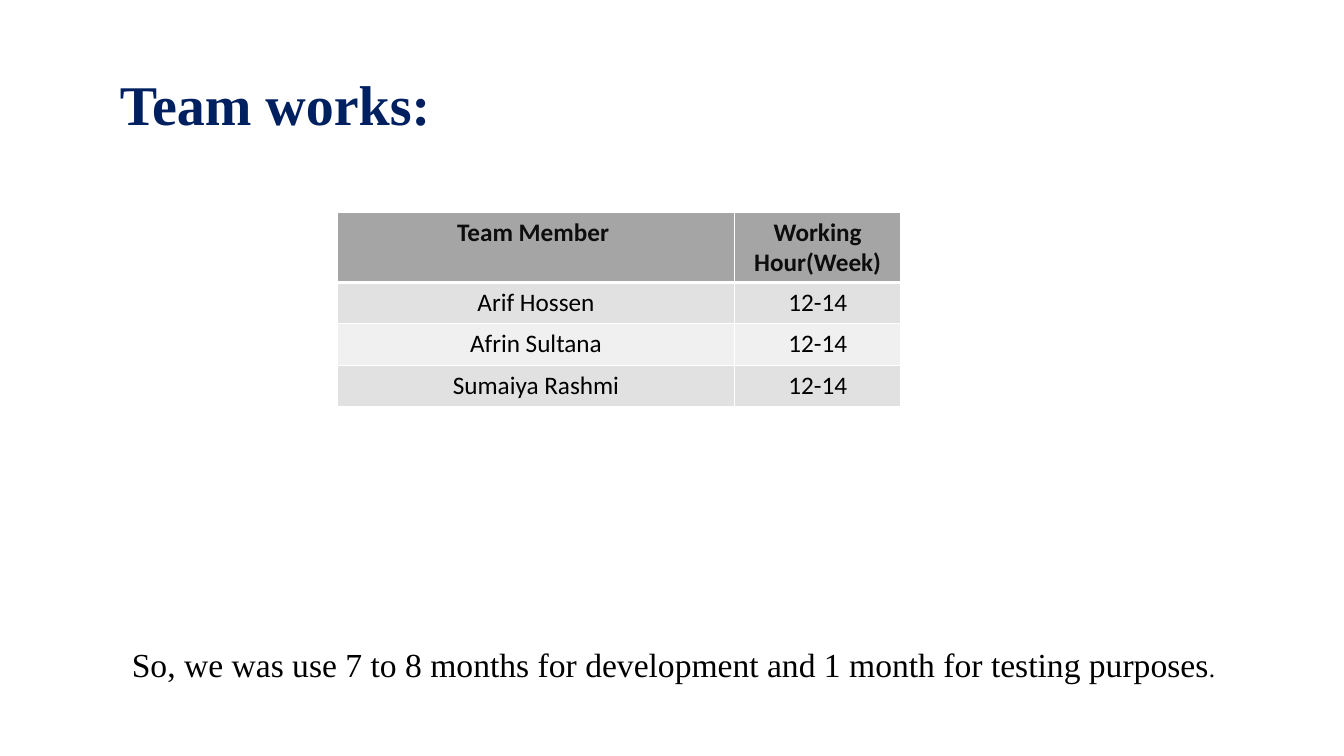
from dataclasses import dataclass

from lxml.etree import SubElement
from pptx import Presentation
from pptx.dml.color import RGBColor
from pptx.enum.text import MSO_ANCHOR, MSO_AUTO_SIZE, PP_ALIGN
from pptx.oxml.ns import qn
from pptx.table import _Cell as Cell
from pptx.text.text import TextFrame, _Paragraph as Paragraph
from pptx.util import Pt

SERIF = "Times New Roman"
SANS = "Calibri"
BLACK = "000000"
WHITE = "FFFFFF"
HEADER_FILL = "A5A5A5"
BAND_FILLS = ("E1E1E1", "F0F0F0")
COLUMN_WIDTHS = (283.7, 118.8)
HEADER_HEIGHT = 50.4
ROW_HEIGHT = 29.5


@dataclass(frozen=True)
class TextStyle:
    font: str
    size: float
    color: str = BLACK
    bold: bool = False


@dataclass(frozen=True)
class TeamRow:
    member: str
    hours: str


HEADER = TeamRow("Team Member ", "Working Hour(Week)")
TEAM = (
    TeamRow("Arif Hossen", "12-14"),
    TeamRow("Afrin Sultana", "12-14"),
    TeamRow("Sumaiya Rashmi", "12-14"),
)
HEADER_STYLE = TextStyle(SANS, 18, "0D0D0D", True)
BODY_STYLE = TextStyle(SANS, 18)
TITLE_STYLE = TextStyle(SERIF, 40, "002060", True)


def rgb(color: str) -> RGBColor:
    return RGBColor.from_string(color)


def add_run(paragraph: Paragraph, text: str, style: TextStyle) -> None:
    run = paragraph.add_run()
    run.text = text
    run.font.name = style.font
    run.font.size = Pt(style.size)
    run.font.bold = style.bold
    run.font.color.rgb = rgb(style.color)


def set_frame(frame: TextFrame, wrap: bool) -> None:
    frame.word_wrap = wrap
    frame.auto_size = MSO_AUTO_SIZE.SHAPE_TO_FIT_TEXT
    frame.vertical_anchor = MSO_ANCHOR.TOP


def set_borders(cell: Cell, top: float, bottom: float) -> None:
    """Draw white borders, 1 point wide at the sides; must precede the fill."""
    properties = cell._tc.get_or_add_tcPr()
    for side, width in (("L", 1), ("R", 1), ("T", top), ("B", bottom)):
        line = SubElement(properties, qn(f"a:ln{side}"), w=str(Pt(width)))
        fill = SubElement(line, qn("a:solidFill"))
        SubElement(fill, qn("a:srgbClr"), val=WHITE)


def fill_cell(cell: Cell, text: str, style: TextStyle, fill: str,
              top: float, bottom: float) -> None:
    set_borders(cell, top, bottom)
    cell.fill.solid()
    cell.fill.fore_color.rgb = rgb(fill)
    paragraph = cell.text_frame.paragraphs[0]
    paragraph.alignment = PP_ALIGN.CENTER
    add_run(paragraph, text, style)


def add_team_table(slide) -> None:
    rows = (HEADER, *TEAM)
    table = slide.shapes.add_table(
        len(rows), len(COLUMN_WIDTHS), Pt(241), Pt(151.4),
        Pt(sum(COLUMN_WIDTHS)), Pt(HEADER_HEIGHT + ROW_HEIGHT * len(TEAM)),
    ).table
    for column, width in zip(table.columns, COLUMN_WIDTHS):
        column.width = Pt(width)
    for index, row in enumerate(rows):
        is_header = index == 0
        table.rows[index].height = Pt(HEADER_HEIGHT if is_header else ROW_HEIGHT)
        style = HEADER_STYLE if is_header else BODY_STYLE
        fill = HEADER_FILL if is_header else BAND_FILLS[(index - 1) % 2]
        top = 3 if index == 1 else 1
        bottom = 3 if is_header else 1
        for column, text in enumerate((row.member, row.hours)):
            fill_cell(table.cell(index, column), text, style, fill, top, bottom)


def add_title(slide) -> None:
    title = slide.shapes.title
    title.left, title.top, title.width, title.height = (
        Pt(78.5), Pt(46), Pt(249), Pt(55.7))
    set_frame(title.text_frame, wrap=False)
    paragraph = title.text_frame.paragraphs[0]
    paragraph.alignment = PP_ALIGN.LEFT
    add_run(paragraph, "Team works:", TITLE_STYLE)


def add_conclusion(slide) -> None:
    box = slide.shapes.add_textbox(Pt(87.1), Pt(456.5), Pt(873), Pt(36))
    set_frame(box.text_frame, wrap=True)
    paragraph = box.text_frame.paragraphs[0]
    add_run(
        paragraph,
        "So, we was use 7 to 8 months for development and 1 month for testing purposes",
        TextStyle(SERIF, 24),
    )
    add_run(paragraph, ".", TextStyle(SERIF, 18))


def main() -> None:
    presentation = Presentation()
    presentation.slide_width = Pt(960)
    presentation.slide_height = Pt(540)
    title_only = presentation.slide_layouts.get_by_name("Title Only")
    slide = presentation.slides.add_slide(title_only)
    add_team_table(slide)
    add_title(slide)
    add_conclusion(slide)
    presentation.save("out.pptx")


if __name__ == "__main__":
    main()
